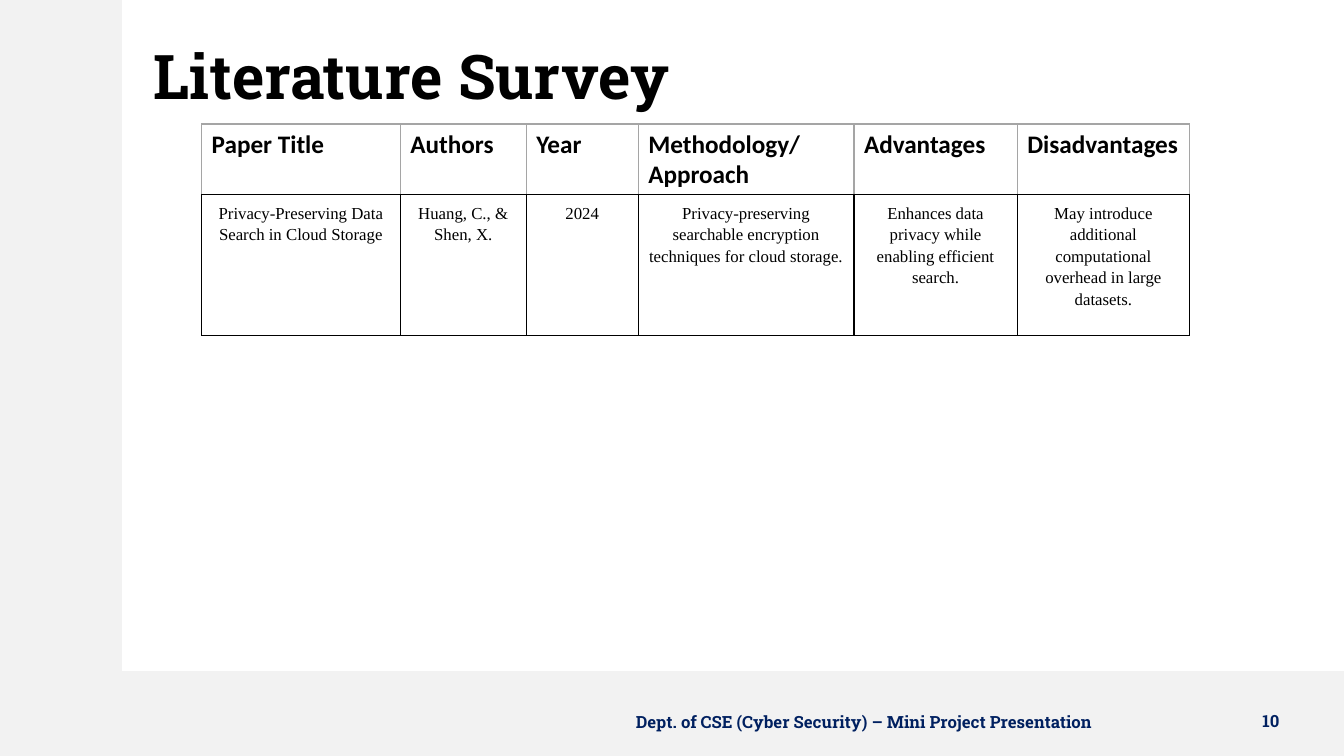
from dataclasses import dataclass

from lxml import etree
from pptx import Presentation
from pptx.dml.color import RGBColor
from pptx.enum.shapes import MSO_SHAPE
from pptx.enum.text import MSO_ANCHOR, PP_ALIGN
from pptx.oxml.ns import qn
from pptx.slide import Slide
from pptx.table import _Cell
from pptx.text.text import TextFrame
from pptx.util import Inches, Pt

RECT = MSO_SHAPE.RECTANGLE
MIDDLE = MSO_ANCHOR.MIDDLE
LEFT, CENTER = PP_ALIGN.LEFT, PP_ALIGN.CENTER

BLACK = RGBColor(0x00, 0x00, 0x00)
NAVY = RGBColor(0x00, 0x20, 0x60)
PALE = RGBColor(0xF2, 0xF2, 0xF2)
GRAY = RGBColor(0xA5, 0xA5, 0xA5)


@dataclass(frozen=True)
class Box:
    left: float
    top: float
    width: float
    height: float

    def place(self) -> tuple:
        return tuple(Inches(v) for v in (self.left, self.top, self.width, self.height))


@dataclass(frozen=True)
class Style:
    font: str
    size: int
    color: RGBColor
    bold: bool
    align: PP_ALIGN = LEFT
    spacing: float = 1.0


@dataclass(frozen=True)
class Column:
    width: float
    head: str
    entry: str


@dataclass(frozen=True)
class Row:
    height: float
    style: Style
    pad_x: float
    pad_y: float
    lines: dict


TITLE = Style("Roboto Slab", 44, BLACK, True, spacing=0.9)
FOOT = Style("Roboto Slab", 12, NAVY, True, CENTER)
HEAD = Style("Calibri", 18, BLACK, True)
BODY = Style("Times New Roman", 12, BLACK, False, CENTER, 1.15)

BARS = (Box(-0.01, 6.66, 13.35, 0.83), Box(0, 0, 1.2, 7.5))
FOOTERS = (
    (Box(5, 6.96, 7.14, 0.4), "Dept. of CSE (Cyber Security) – Mini Project Presentation"),
    (Box(12.29, 6.95, 0.63, 0.4), "10"),
)
COLUMNS = (
    Column(1.97, "Paper Title", "Privacy-Preserving Data Search in Cloud Storage"),
    Column(1.25, "Authors", "Huang, C., & Shen, X."),
    Column(1.11, "Year", "2024"),
    Column(2.14, "Methodology/ Approach",
           "Privacy-preserving searchable encryption techniques for cloud storage."),
    Column(1.62, "Advantages", "Enhances data privacy while enabling efficient search."),
    Column(1.71, "Disadvantages",
           "May introduce additional computational overhead in large datasets."),
)
ROWS = (
    Row(0.7, HEAD, 0.1, 0.05, {"L": GRAY, "R": GRAY, "T": GRAY, "B": BLACK}),
    Row(1.4, BODY, 0.07, 0.07, dict.fromkeys("LRTB", BLACK)),
)


def write(frame: TextFrame, text: str, style: Style) -> None:
    frame.word_wrap = True
    para = frame.paragraphs[0]
    para.alignment = style.align
    para.line_spacing = style.spacing
    run = para.add_run()
    run.text = text
    formats = {"name": style.font, "size": Pt(style.size), "bold": style.bold}
    for key, value in formats.items():
        setattr(run.font, key, value)
    run.font.color.rgb = style.color


def add_bar(slide: Slide, box: Box) -> None:
    bar = slide.shapes.add_shape(RECT, *box.place())
    bar.shadow.inherit = False
    bar.fill.solid()
    bar.fill.fore_color.rgb = PALE
    bar.line.color.rgb = PALE
    bar.line.width = Pt(1)


def add_title(slide: Slide, box: Box, text: str) -> None:
    title = slide.shapes.title
    title.left, title.top, title.width, title.height = box.place()
    title.text_frame.vertical_anchor = MIDDLE
    write(title.text_frame, text, TITLE)


def add_footer(slide: Slide, box: Box, text: str) -> None:
    frame = slide.shapes.add_textbox(*box.place()).text_frame
    frame.vertical_anchor = MIDDLE
    write(frame, text, FOOT)


def set_lines(cell: _Cell, lines: dict) -> None:
    """Draw one-point cell borders, keyed by side letter."""
    props = cell._tc.get_or_add_tcPr()
    for side, color in lines.items():
        line = etree.SubElement(props, qn(f"a:ln{side}"), w=str(Pt(1)))
        fill = etree.SubElement(line, qn("a:solidFill"))
        etree.SubElement(fill, qn("a:srgbClr"), val=str(color))


def fill_cell(cell: _Cell, text: str, row: Row) -> None:
    pads = {"left": row.pad_x, "right": row.pad_x, "top": row.pad_y, "bottom": row.pad_y}
    for side, pad in pads.items():
        setattr(cell, f"margin_{side}", Inches(pad))
    set_lines(cell, row.lines)
    cell.fill.background()
    write(cell.text_frame, text, row.style)


def add_survey(slide: Slide, left: float, top: float) -> None:
    width = sum(col.width for col in COLUMNS)
    height = sum(row.height for row in ROWS)
    box = Box(left, top, width, height)
    table = slide.shapes.add_table(len(ROWS), len(COLUMNS), *box.place()).table
    table.first_row = table.horz_banding = False
    for r, row in enumerate(ROWS):
        table.rows[r].height = Inches(row.height)
    for c, col in enumerate(COLUMNS):
        table.columns[c].width = Inches(col.width)
        for r, text in enumerate((col.head, col.entry)):
            fill_cell(table.cell(r, c), text, ROWS[r])


def main() -> None:
    deck = Presentation()
    deck.slide_width, deck.slide_height = Inches(13.33), Inches(7.5)
    slide = deck.slides.add_slide(deck.slide_layouts[5])
    for bar in BARS:
        add_bar(slide, bar)
    add_title(slide, Box(1.42, 0.06, 11.5, 1.45), "Literature Survey")
    for box, text in FOOTERS:
        add_footer(slide, box, text)
    add_survey(slide, 2, 1.23)
    deck.save("out.pptx")


if __name__ == "__main__":
    main()
